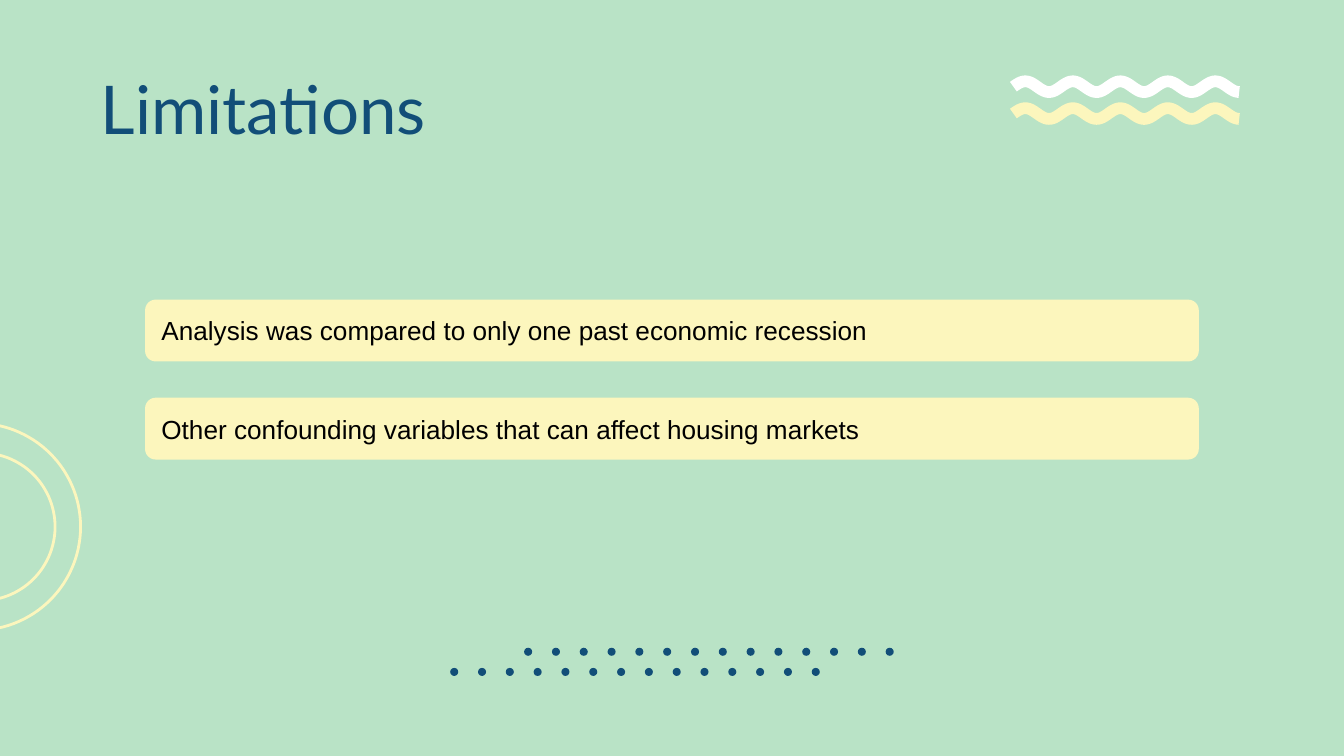
from dataclasses import dataclass
from math import cos, pi, sin

from pptx import Presentation
from pptx.dml.color import RGBColor
from pptx.enum.shapes import MSO_SHAPE as SHAPE
from pptx.enum.text import MSO_ANCHOR as ANCHOR, PP_ALIGN as ALIGN
from pptx.util import Inches, Pt


@dataclass(frozen=True)
class Theme:
    mint: RGBColor = RGBColor.from_string("B9E3C6")
    cream: RGBColor = RGBColor.from_string("FCF6BD")
    navy: RGBColor = RGBColor.from_string("124E78")
    white: RGBColor = RGBColor.from_string("FFFFFF")
    black: RGBColor = RGBColor.from_string("000000")
    title_font: str = "Lato"
    body_font: str = "Arial"
    title_size: int = 36
    body_size: int = 14
    wave_width: float = 6.28
    ring_width: float = 1.5


THEME = Theme()


def add_filled(shapes, kind, box, color):
    sp = shapes.add_shape(kind, *map(Inches, box))
    sp.shadow.inherit = False
    sp.fill.solid()
    sp.fill.fore_color.rgb = color
    sp.line.fill.background()
    return sp


def add_curve(s, points, color, width):
    emu = [(Inches(x), Inches(y)) for x, y in points]
    builder = s.shapes.build_freeform(*emu[0], scale=1.0)
    builder.add_line_segments(emu[1:], close=False)
    sp = builder.convert_to_shape()
    sp.shadow.inherit = False
    sp.fill.background()
    sp.line.color.rgb = color
    sp.line.width = Pt(width)


def set_text(sp, text, font, size, color, margin, anchor):
    tf = sp.text_frame
    tf.word_wrap = True
    tf.vertical_anchor = anchor
    tf.margin_left = tf.margin_right = Inches(margin)
    tf.margin_top = tf.margin_bottom = Inches(margin)
    tf.text = text
    p = tf.paragraphs[0]
    p.alignment = ALIGN.LEFT
    r = p.runs[0]
    r.font.name = font
    r.font.size = Pt(size)
    r.font.color.rgb = color


def add_waves(s, left, top, width, height):
    half_waves, amplitude, steps = 9.5, 0.04, 120
    band = 0.11
    for row, color in enumerate((THEME.white, THEME.cream)):
        middle = top + band / 2 + row * (height - band)
        points = [
            (left + width * i / steps, middle - amplitude * sin(pi * half_waves * i / steps))
            for i in range(steps + 1)
        ]
        add_curve(s, points, color, THEME.wave_width)


def add_half_rings(s, center_y, rings):
    steps = 60
    angles = [pi * (i / steps - 0.5) for i in range(steps + 1)]
    for center_x, radius in rings:
        points = [(center_x + radius * cos(a), center_y + radius * sin(a)) for a in angles]
        add_curve(s, points, THEME.cream, THEME.ring_width)


def add_title(s, left, top, width, height, text):
    sp = s.shapes.add_textbox(*map(Inches, (left, top, width, height)))
    set_text(sp, text, THEME.title_font, THEME.title_size, THEME.navy, 0, ANCHOR.TOP)


def add_cards(s, left, top, width, height, texts):
    card_height = 0.46
    pitch = (height - card_height) / (len(texts) - 1)
    for i, text in enumerate(texts):
        box = (left, top + i * pitch, width, card_height)
        sp = add_filled(s.shapes, SHAPE.ROUNDED_RECTANGLE, box, THEME.cream)
        sp.adjustments[0] = 0.17
        set_text(sp, text, THEME.body_font, THEME.body_size, THEME.black, 0.1, ANCHOR.MIDDLE)


def add_dots(s, left, top, width, height):
    count, size, shift = 14, 0.06, 0.55
    pitch = (width - shift - size) / (count - 1)
    group = s.shapes.add_group_shape()
    for x, y in ((left, top + height - size), (left + shift, top)):
        for i in range(count):
            add_filled(group.shapes, SHAPE.OVAL, (x + i * pitch, y, size, size), THEME.navy)


def main():
    prs = Presentation()
    prs.slide_width = Inches(10)
    prs.slide_height = prs.slide_width * 9 // 16
    s = prs.slides.add_slide(prs.slide_layouts[6])
    s.background.fill.solid()
    s.background.fill.fore_color.rgb = THEME.mint
    add_waves(s, 7.54, 0.59, 1.68, 0.31)
    add_half_rings(s, 3.92, [(-0.17, 0.77), (-0.14, 0.55)])
    add_cards(s, 1.08, 2.23, 7.84, 1.19, [
        "Analysis was compared to only one past economic recession",
        "Other confounding variables that can affect housing markets",
    ])
    add_title(s, 0.75, 0.5, 8.47, 0.7, "Limitations")
    add_dots(s, 3.35, 4.82, 3.3, 0.21)
    prs.save("out.pptx")


if __name__ == "__main__":
    main()
